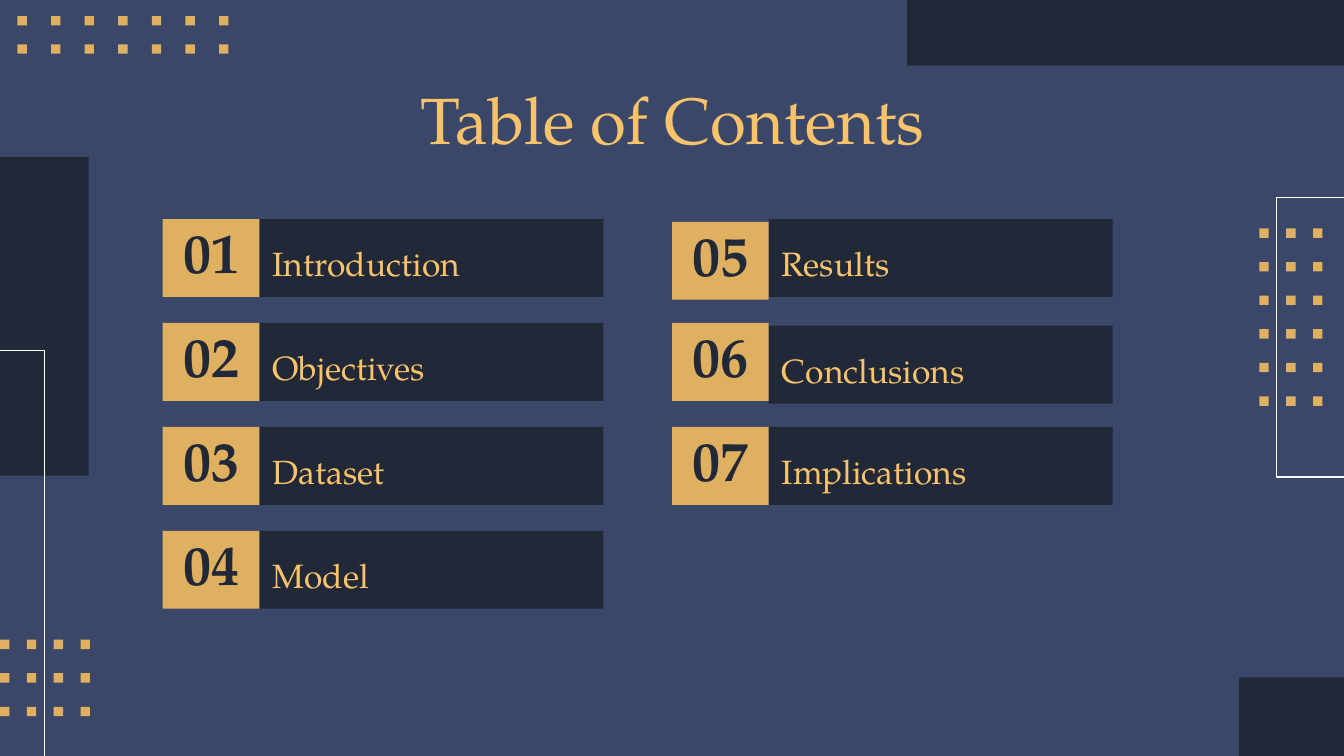
from typing import NamedTuple

from pptx import Presentation
from pptx.dml.color import RGBColor
from pptx.enum.shapes import MSO_SHAPE
from pptx.enum.text import MSO_ANCHOR, PP_ALIGN
from pptx.util import Inches, Pt

RECT = MSO_SHAPE.RECTANGLE
TOP, MIDDLE, BOTTOM = MSO_ANCHOR.TOP, MSO_ANCHOR.MIDDLE, MSO_ANCHOR.BOTTOM
LEFT, CENTER = PP_ALIGN.LEFT, PP_ALIGN.CENTER

FONT = "TeX Gyre Pagella"
NAVY, DARK, GOLD, YELLOW, WHITE = "3A4769", "212838", "DFB05F", "F8C36A", "FFFFFF"

# Widescreen page, 16:9
PAGE_W = 10
PAGE_H = PAGE_W * 9 / 16


class Box(NamedTuple):
    x: float
    y: float
    w: float
    h: float


class DotGrid(NamedTuple):
    x: float
    y: float
    cols: int
    rows: int
    dx: float
    dy: float


class Style(NamedTuple):
    size: int
    color: str
    bold: bool
    align: PP_ALIGN
    anchor: MSO_ANCHOR
    inset: float  # left, right and top; the bottom is always 0.1


class Entry(NamedTuple):
    label: str
    number_dy: float = 0
    label_dy: float = 0


TITLE = Style(35, YELLOW, False, CENTER, TOP, 0.1)
NUMBER = Style(30, DARK, True, CENTER, MIDDLE, 0)
LABEL = Style(18, YELLOW, False, LEFT, BOTTOM, 0.1)

BLOCKS = [Box(9.22, 5.04, 0.78, PAGE_H - 5.04), Box(6.75, -0.07, 3.25, 0.56),
          Box(0, 1.17, 0.66, 2.37)]
OUTLINES = [[(10.13, 1.47), (9.5, 1.47), (9.5, 3.55), (10.13, 3.55)],
            [(0.33, PAGE_H), (0.33, 2.61), (0, 2.61)]]
DOT = 0.07
DOT_GRIDS = [DotGrid(9.37, 1.7, 3, 6, 0.2, 0.25),
             DotGrid(0.13, 0.12, 7, 2, 0.25, 0.21),
             DotGrid(0, 4.76, 4, 3, 0.2, 0.25)]

# Two columns of entries, each keyed by its left edge
COLUMNS = {
    1.21: [Entry("Introduction"), Entry("Objectives"), Entry("Dataset"), Entry("Model")],
    5: [Entry("Results", number_dy=0.02), Entry("Conclusions", label_dy=0.02),
        Entry("Implications")],
}
FIRST_ROW, LAST_ROW, ROW_H = 1.63, 3.95, 0.58
ROW_PITCH = (LAST_ROW - FIRST_ROW) / 3
NUMBER_W, LABEL_W = 0.72, 2.56


def rgb(value: str) -> RGBColor:
    return RGBColor.from_string(value)


def add_rect(shapes, box: Box, color: str):
    sp = shapes.add_shape(RECT, *map(Inches, box))
    sp.shadow.inherit = False
    sp.fill.solid()
    sp.fill.fore_color.rgb = rgb(color)
    sp.line.fill.background()
    return sp


def add_outline(shapes, points: list) -> None:
    start, *rest = [(Inches(x), Inches(y)) for x, y in points]
    builder = shapes.build_freeform(*start)
    builder.add_line_segments(rest, close=False)
    sp = builder.convert_to_shape()
    sp.shadow.inherit = False
    sp.fill.background()
    sp.line.color.rgb = rgb(WHITE)
    sp.line.width = Pt(0.75)


def add_dots(shapes, grid: DotGrid) -> None:
    for row in range(grid.rows):
        for col in range(grid.cols):
            box = Box(grid.x + col * grid.dx, grid.y + row * grid.dy, DOT, DOT)
            add_rect(shapes, box, GOLD)


def set_text(sp, text: str, style: Style) -> None:
    tf = sp.text_frame
    inset = Inches(style.inset)
    frame = {"word_wrap": True, "vertical_anchor": style.anchor, "margin_left": inset,
             "margin_right": inset, "margin_top": inset, "margin_bottom": Inches(0.1)}
    for name, value in frame.items():
        setattr(tf, name, value)
    p = tf.paragraphs[0]
    p.alignment = style.align
    r = p.add_run()
    r.text = text
    font = {"name": FONT, "size": Pt(style.size), "bold": style.bold}
    for name, value in font.items():
        setattr(r.font, name, value)
    r.font.color.rgb = rgb(style.color)


def add_entry(shapes, x: float, y: float, number: int, entry: Entry) -> None:
    label_box = Box(x + NUMBER_W, y + entry.label_dy, LABEL_W, ROW_H)
    number_box = Box(x, y + entry.number_dy, NUMBER_W, ROW_H)
    set_text(add_rect(shapes, label_box, DARK), entry.label, LABEL)
    set_text(add_rect(shapes, number_box, GOLD), f"{number:02}", NUMBER)


def main() -> None:
    prs = Presentation()
    prs.slide_width, prs.slide_height = Inches(PAGE_W), Inches(PAGE_H)
    slide = prs.slides.add_slide(prs.slide_layouts[6])
    slide.background.fill.solid()
    slide.background.fill.fore_color.rgb = rgb(NAVY)
    shapes = slide.shapes

    # Decoration
    for block in BLOCKS:
        add_rect(shapes, block, DARK)
    for points in OUTLINES:
        add_outline(shapes, points)
    for grid in DOT_GRIDS:
        add_dots(shapes, grid)

    # Title
    title = shapes.add_textbox(*map(Inches, Box(0.79, 0.49, 8.43, 0.63)))
    set_text(title, "Table of Contents", TITLE)

    # Contents
    number = 0
    for x, entries in COLUMNS.items():
        for row, entry in enumerate(entries):
            number += 1
            add_entry(shapes, x, FIRST_ROW + row * ROW_PITCH, number, entry)

    prs.save("out.pptx")


if __name__ == "__main__":
    main()
